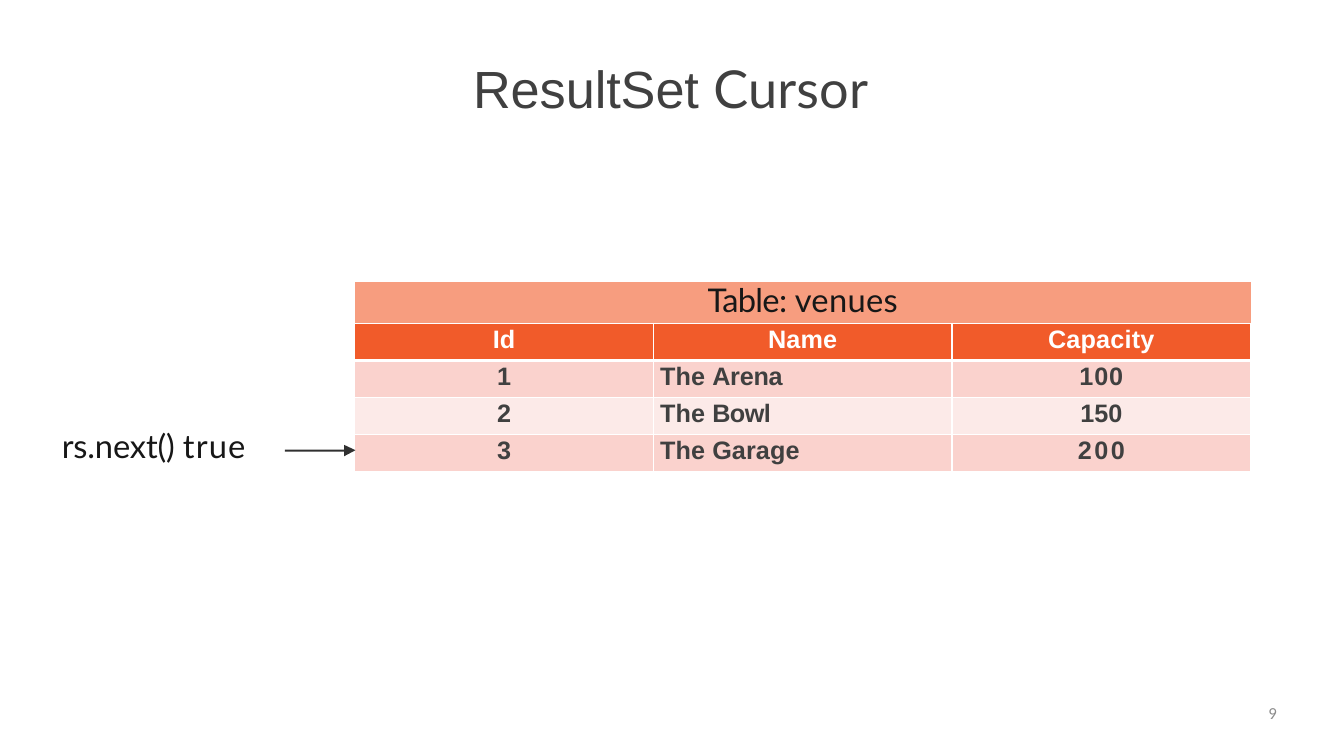
"""Build the ResultSet Cursor slide: a venues table with a cursor arrow."""
from pptx import Presentation
from pptx.dml.color import RGBColor
from pptx.enum.text import MSO_ANCHOR as Anchor, MSO_AUTO_SIZE as Fit, PP_ALIGN as Align
from pptx.oxml import parse_xml
from pptx.oxml.ns import nsdecls
from pptx.util import Inches, Pt


def color(code):
    """Turn a hex string into a colour."""
    return RGBColor.from_string(code)


def write(para, parts, font, size, code, bold=False):
    """Add (text, spacing in points) parts to a paragraph as runs."""
    for text, gap in parts:
        run = para.add_run()
        run.text = text
        run.font.name = font
        run.font.size = Pt(size)
        run.font.bold = bold
        run.font.color.rgb = color(code)
        run.font._element.set("spc", str(round(gap * 100)))


deck = Presentation()
deck.slide_width = Inches(20)
deck.slide_height = Inches(11.25)
slide = deck.slides.add_slide(deck.slide_layouts[5])

title = slide.shapes.title
label = slide.shapes.add_textbox(0, 0, 0, 0)
number = slide.shapes.add_textbox(0, 0, 0, 0)
boxes = [
    (title, (7.03, 0.82, 5.95, 0.96), Align.LEFT, 1),
    (label, (0.91, 6.33, 2.82, 0.61), Align.LEFT, 1),
    (number, (14.4, 10.46, 4.6, 0.56), Align.RIGHT, 0),
]
for box, place, align, before in boxes:
    box.left, box.top, box.width, box.height = [Inches(n) for n in place]
    frame = box.text_frame
    frame.word_wrap = True
    frame.auto_size = Fit.SHAPE_TO_FIT_TEXT
    frame.vertical_anchor = Anchor.TOP
    frame.margin_right = frame.margin_bottom = 0
    frame.margin_left = frame.margin_top = Inches(0.01 * before)
    frame.paragraphs[0].alignment = align
    frame.paragraphs[0].space_before = Pt(before)

head = title.text_frame.paragraphs[0]
write(head, [("ResultSet ", -0.1)], "Arial", 56, "404040")
write(head, [("Cursor", 0.2)], "Lato", 56, "404040")
write(label.text_frame.paragraphs[0], [("rs.next() ", -0.2), ("true", 1.2)],
      "Lato", 35, "171717")
write(number.text_frame.paragraphs[0], [("9", 0)], "Calibri", 18, "8C8C8C")

rows = [
    [[("Table: ", -0.8), ("venues", 0.3)], [], []],
    [[("Id", 0.1)], [("Name", 0.1)], [("Capacity", 0.2)]],
    [[("1", 0)], [("The ", 0.1), ("Arena", -0.3)], [("100", 0.9)]],
    [[("2", 0)], [("The ", 0.1), ("Bowl", -0.6)], [("150", 0)]],
    [[("3", 0)], [("The Garage", 0.1)], [("200", 2.7)]],
]
fills = ["F79D7F", "F15B2A", "FAD2CD", "FCEAE8", "FAD2CD"]
rules = [0, 0.75, 4.25, 1.5, 1.5, 1.5]

grid = slide.shapes.add_table(5, 3, Inches(5.28), Inches(4.2),
                              Inches(13.33), Inches(2.82)).table
grid.first_row = grid.horz_banding = False
for col in grid.columns:
    col.width = Inches(13.33 / 3)
for r, row in enumerate(rows):
    grid.rows[r].height = Inches(2.21 / 4 if r else 0.61)
    for c, parts in enumerate(row):
        cell = grid.cell(r, c)
        cell.margin_left = cell.margin_right = cell.margin_bottom = 0
        cell.margin_top = Inches(0.03 if r else 0)
        props = cell._tc.get_or_add_tcPr()
        edge = 1.5 if r else 0
        sides = [("L", edge), ("R", edge), ("T", rules[r]), ("B", rules[r + 1])]
        for side, width in sides:
            paint = ('<a:solidFill><a:srgbClr val="FFFFFF"/></a:solidFill>'
                     if width else "<a:noFill/>")
            props.append(parse_xml(
                f'<a:ln{side} {nsdecls("a")} w="{Pt(width)}">{paint}</a:ln{side}>'))
        cell.fill.solid()
        cell.fill.fore_color.rgb = color(fills[r])
        para = cell.text_frame.paragraphs[0]
        para.alignment = Align.CENTER
        if r == 0:
            para.line_spacing = Pt(39.5)
            write(para, parts, "Lato", 35, "171717")
            continue
        para.space_before = Pt(2.2 if r == 1 else 2.5)
        if r > 1 and c == 1:
            para.alignment = Align.LEFT
            cell.margin_left = Inches(0.1)
        write(para, parts, "Arial", 27, "FFFFFF" if r == 1 else "404040", True)
grid.cell(0, 0).merge(grid.cell(0, 2))

points = [(5.12, 6.69), (5.12, 6.62), (5.29, 6.7), (5.12, 6.79),
          (5.12, 6.72), (4.24, 6.72)]
pen = slide.shapes.build_freeform(Inches(4.24), Inches(6.69))
pen.add_line_segments([(Inches(x), Inches(y)) for x, y in points])
arrow = pen.convert_to_shape()
arrow.shadow.inherit = False
arrow.fill.solid()
arrow.fill.fore_color.rgb = color("303030")
arrow.line.fill.background()

deck.save("out.pptx")
